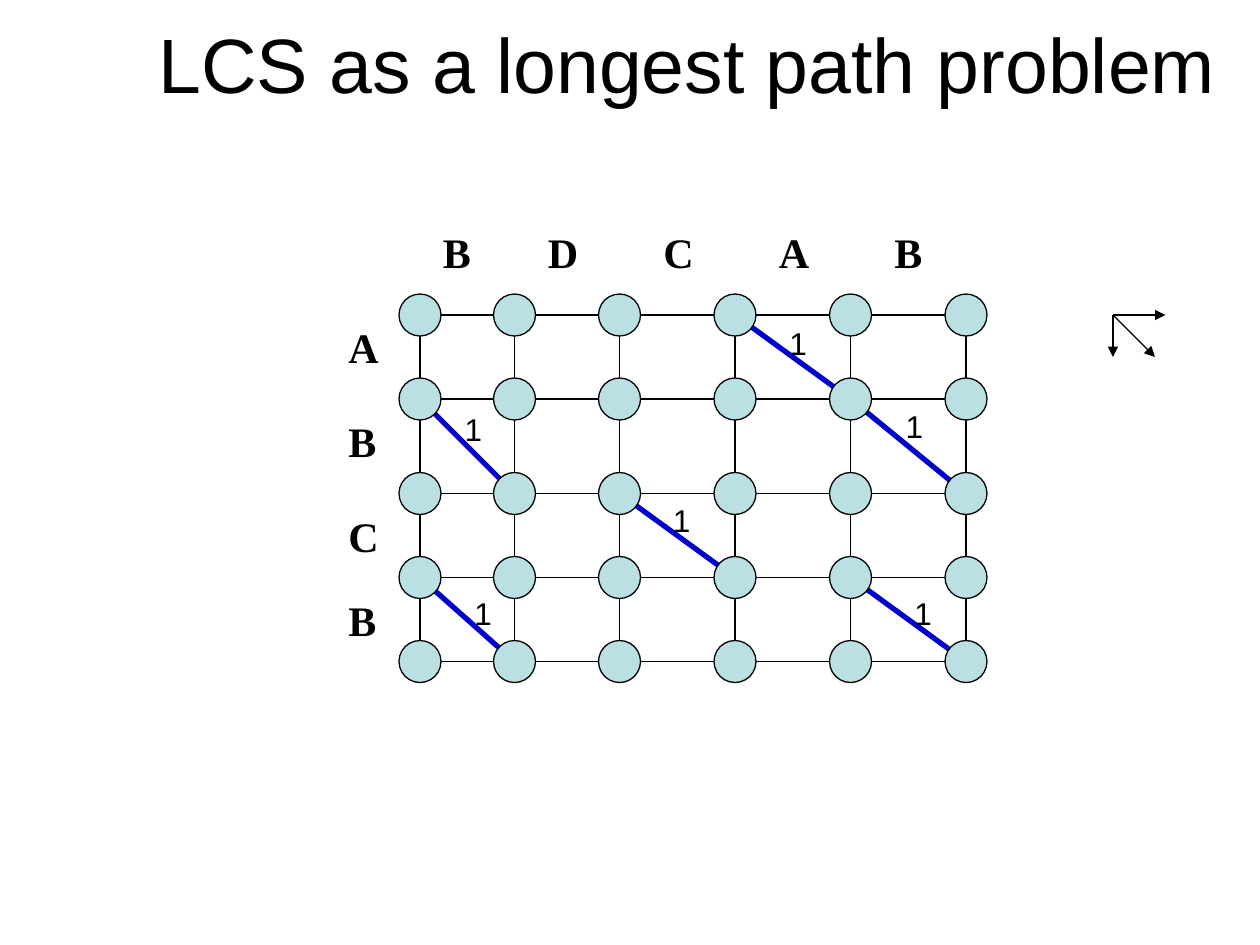
"""Build a slide showing the LCS of two strings as a longest path through a grid."""
from lxml import etree
from pptx import Presentation
from pptx.dml.color import RGBColor
from pptx.enum.shapes import MSO_CONNECTOR, MSO_SHAPE
from pptx.enum.text import MSO_ANCHOR, PP_ALIGN
from pptx.oxml.ns import qn
from pptx.util import Pt

STRAIGHT = MSO_CONNECTOR.STRAIGHT
OVAL = MSO_SHAPE.OVAL
MIDDLE = MSO_ANCHOR.MIDDLE
LEFT, CENTER = PP_ALIGN.LEFT, PP_ALIGN.CENTER

COLORS = {"ink": "000000", "match": "0000CC", "node": "BBE0E3"}
TITLE = "LCS as a longest path problem"
ACROSS = "BDCAB"
DOWN = "ABCB"
COLUMN_XS = [240, 294, 354, 420, 486, 552]
ROW_YS = [180, 228, 282, 330, 378]
ACROSS_LEFTS = [246, 306, 372, 438, 504]
DOWN_TOPS = [180, 234, 288, 336]
WEIGHT_CORNERS = {
    (0, 3): (444, 181.5),
    (1, 0): (258.5, 231),
    (1, 4): (510.5, 229),
    (2, 2): (377.5, 283),
    (3, 0): (264, 336),
    (3, 4): (515.5, 336),
}
MOVE_START = (636, 180)
MOVE_ENDS = [(666, 180), (636, 204), (660, 204)]
NODE_SIZE = 24


def color(name):
    return RGBColor.from_string(COLORS[name])


def add_line(slide, start, end, ink="ink", width=0.75, arrow=False):
    line = slide.shapes.add_connector(STRAIGHT, *map(Pt, (*start, *end)))
    line.line.color.rgb = color(ink)
    line.line.width = Pt(width)
    properties = line._element.spPr
    if arrow:
        outline = properties.find(qn("a:ln"))
        etree.SubElement(outline, qn("a:tailEnd"), type="triangle")
    etree.SubElement(properties, qn("a:effectLst"))


def add_text(slide, text, box, size, font="Arial", bold=False, align=LEFT):
    frame = slide.shapes.add_textbox(*map(Pt, box)).text_frame
    frame.word_wrap = True
    paragraph = frame.paragraphs[0]
    paragraph.alignment = align
    run = paragraph.add_run()
    run.text = text
    run.font.name = font
    run.font.size = Pt(size)
    run.font.bold = bold
    run.font.color.rgb = color("ink")
    return frame


def add_letter(slide, letter, left, top):
    add_text(slide, letter, (left, top, 32, 36), 24, "Times New Roman", True)


def add_node(slide, x, y):
    corner = (x - NODE_SIZE / 2, y - NODE_SIZE / 2)
    node = slide.shapes.add_shape(OVAL, *map(Pt, (*corner, NODE_SIZE, NODE_SIZE)))
    node.shadow.inherit = False
    node.fill.solid()
    node.fill.fore_color.rgb = color("node")
    node.line.color.rgb = color("ink")
    node.line.width = Pt(0.75)


def main():
    deck = Presentation()
    deck.slide_width, deck.slide_height = Pt(720), Pt(540)
    slide = deck.slides.add_slide(deck.slide_layouts[6])

    title = add_text(slide, TITLE, (66, 0, 654, 72), 44, align=CENTER)
    title.vertical_anchor = MIDDLE

    for x in COLUMN_XS:
        add_line(slide, (x, ROW_YS[0]), (x, ROW_YS[-1]))
    for y in ROW_YS:
        add_line(slide, (COLUMN_XS[0], y), (COLUMN_XS[-1], y))

    for letter, left in zip(ACROSS, ACROSS_LEFTS):
        add_letter(slide, letter, left, 126)
    for letter, top in zip(DOWN, DOWN_TOPS):
        add_letter(slide, letter, 192, top)

    matches = [(row, column) for row, down in enumerate(DOWN)
               for column, across in enumerate(ACROSS) if down == across]
    for row, column in matches:
        start = (COLUMN_XS[column], ROW_YS[row])
        end = (COLUMN_XS[column + 1], ROW_YS[row + 1])
        add_line(slide, start, end, "match", 3)

    for end in MOVE_ENDS:
        add_line(slide, MOVE_START, end, arrow=True)

    for y in ROW_YS:
        for x in COLUMN_XS:
            add_node(slide, x, y)

    for match in matches:
        add_text(slide, "1", (*WEIGHT_CORNERS[match], 24.5, 29), 18)

    deck.save("out.pptx")


if __name__ == "__main__":
    main()
